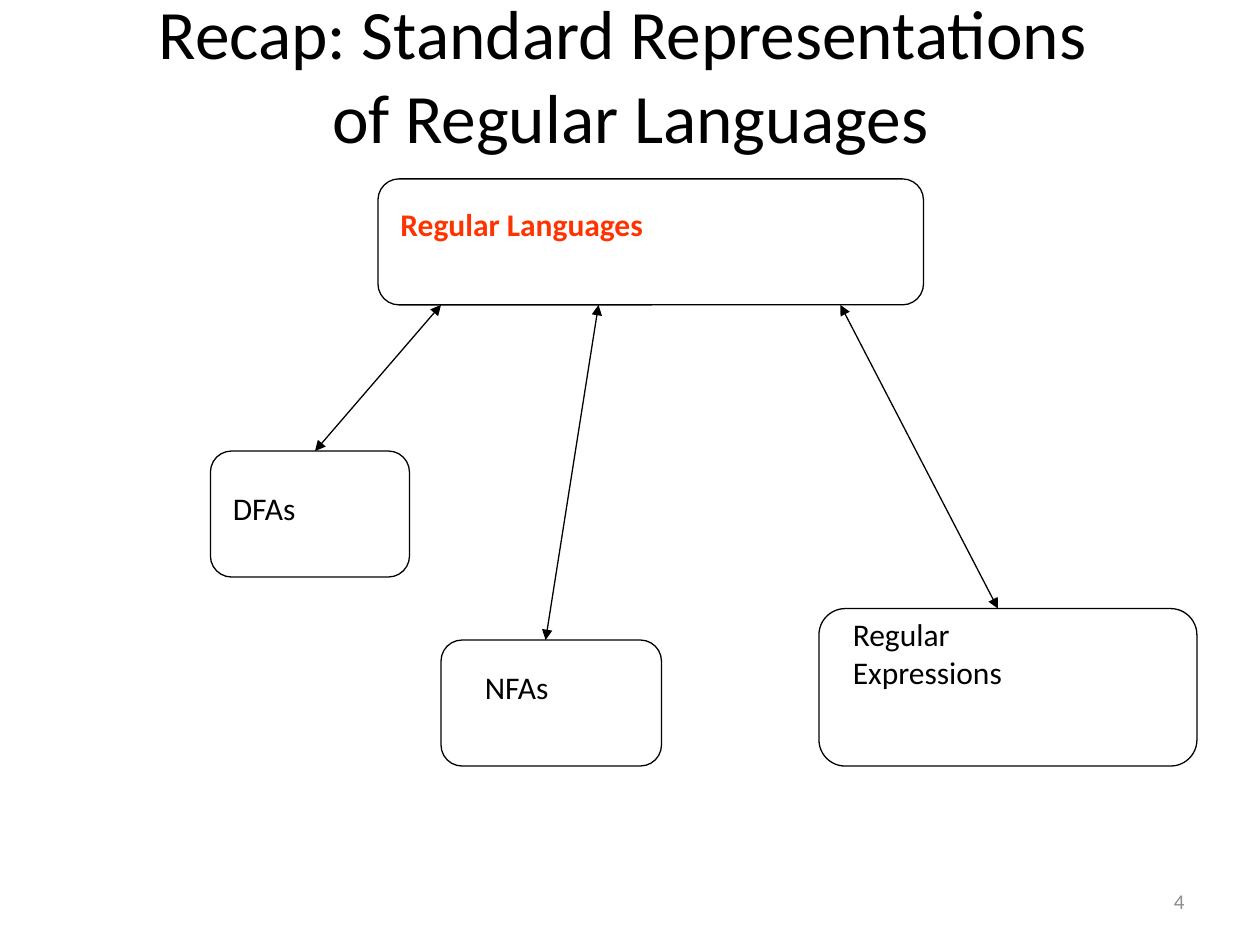
from dataclasses import dataclass

from lxml.etree import SubElement
from pptx import Presentation
from pptx.dml.color import RGBColor
from pptx.enum.shapes import MSO_CONNECTOR as Connector, MSO_SHAPE as Shape
from pptx.enum.text import MSO_ANCHOR as Anchor, MSO_AUTO_SIZE as AutoSize, PP_ALIGN as Align
from pptx.oxml.ns import qn
from pptx.slide import Slide
from pptx.text.text import TextFrame
from pptx.util import Inches, Pt

BLACK = RGBColor(0x00, 0x00, 0x00)
ORANGE_RED = RGBColor(0xFF, 0x33, 0x00)
GREY = RGBColor(0x8C, 0x8C, 0x8C)
LINE_WIDTH = Pt(0.75)


@dataclass(frozen=True)
class Box:
    left: float
    top: float
    width: float
    height: float

    def lengths(self) -> tuple:
        return tuple(Inches(n) for n in (self.left, self.top, self.width, self.height))


@dataclass(frozen=True)
class Node:
    outline: Box
    label: Box
    text: str
    color: RGBColor = BLACK
    bold: bool = False


@dataclass(frozen=True)
class Arrow:
    start: tuple[float, float]
    end: tuple[float, float]


NODES = [
    Node(Box(3, 1.42, 4.33, 1), Box(3.08, 1.58, 4.11, 0.63),
         "Regular Languages", ORANGE_RED, True),
    Node(Box(1.67, 3.58, 1.58, 1), Box(1.75, 3.83, 1.33, 0.63), "DFAs"),
    Node(Box(3.5, 5.08, 1.75, 1), Box(3.75, 5.25, 1.37, 0.63), "NFAs"),
    Node(Box(6.5, 4.83, 3, 1.25), Box(6.67, 4.83, 2.68, 1.27), "Regular\nExpressions"),
]
ARROWS = [
    Arrow((3.5, 2.42), (2.5, 3.58)),
    Arrow((4.75, 2.42), (4.33, 5.08)),
    Arrow((6.67, 2.42), (7.92, 4.83)),
]


def write_text(frame: TextFrame, text: str, size: float, color: RGBColor,
               align: Align = Align.LEFT, anchor: Anchor = Anchor.TOP,
               bold: bool = False) -> None:
    frame.text = text
    frame.word_wrap = True
    frame.auto_size = AutoSize.NONE
    frame.vertical_anchor = anchor
    font_format = {"name": "Calibri", "size": Pt(size), "bold": bold}
    for paragraph in frame.paragraphs:
        paragraph.alignment = align
        for run in paragraph.runs:
            for attribute, value in font_format.items():
                setattr(run.font, attribute, value)
            run.font.color.rgb = color


def add_outline(slide: Slide, box: Box) -> None:
    shape = slide.shapes.add_shape(Shape.ROUNDED_RECTANGLE, *box.lengths())
    shape.adjustments[0] = 0.167
    shape.shadow.inherit = False
    shape.fill.background()
    shape.line.color.rgb = BLACK
    shape.line.width = LINE_WIDTH


def add_label(slide: Slide, node: Node) -> None:
    label = slide.shapes.add_textbox(*node.label.lengths())
    write_text(label.text_frame, node.text, 18, node.color, bold=node.bold)


def add_arrow(slide: Slide, arrow: Arrow) -> None:
    points = [Inches(n) for n in (*arrow.start, *arrow.end)]
    connector = slide.shapes.add_connector(Connector.STRAIGHT, *points)
    connector.line.color.rgb = BLACK
    connector.line.width = LINE_WIDTH
    # Arrowheads at both ends, no shadow
    line = connector.line._get_or_add_ln()
    for end in ("a:headEnd", "a:tailEnd"):
        SubElement(line, qn(end), type="triangle")
    SubElement(connector._element.spPr, qn("a:effectLst"))


def main() -> None:
    presentation = Presentation()
    presentation.slide_width, presentation.slide_height = Inches(10), Inches(7.5)
    slide = presentation.slides.add_slide(presentation.slide_layouts[5])

    # Title
    title = slide.shapes.title
    title.left, title.top, title.width, title.height = Box(0.17, 0.25, 9.67, 0.67).lengths()
    write_text(title.text_frame, "Recap: Standard Representations \vof Regular Languages",
               39.6, BLACK, Align.CENTER, Anchor.MIDDLE)

    # Slide number
    number = slide.shapes.add_textbox(*Box(7.17, 6.95, 2.33, 0.4).lengths())
    write_text(number.text_frame, "4", 12, GREY, Align.RIGHT, Anchor.MIDDLE)

    # Diagram: labels, outlines, then arrows
    for node in NODES:
        add_label(slide, node)
    for node in NODES:
        add_outline(slide, node.outline)
    for arrow in ARROWS:
        add_arrow(slide, arrow)

    presentation.save("out.pptx")


if __name__ == "__main__":
    main()
